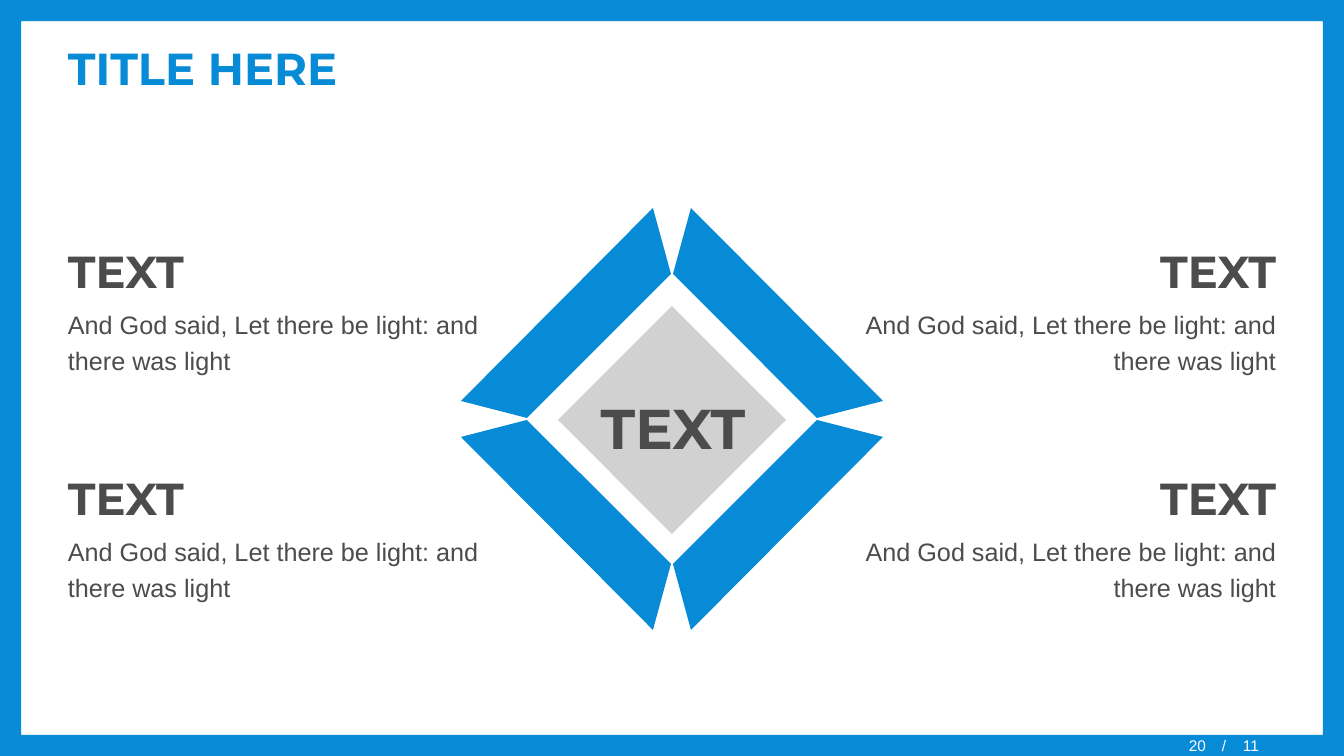
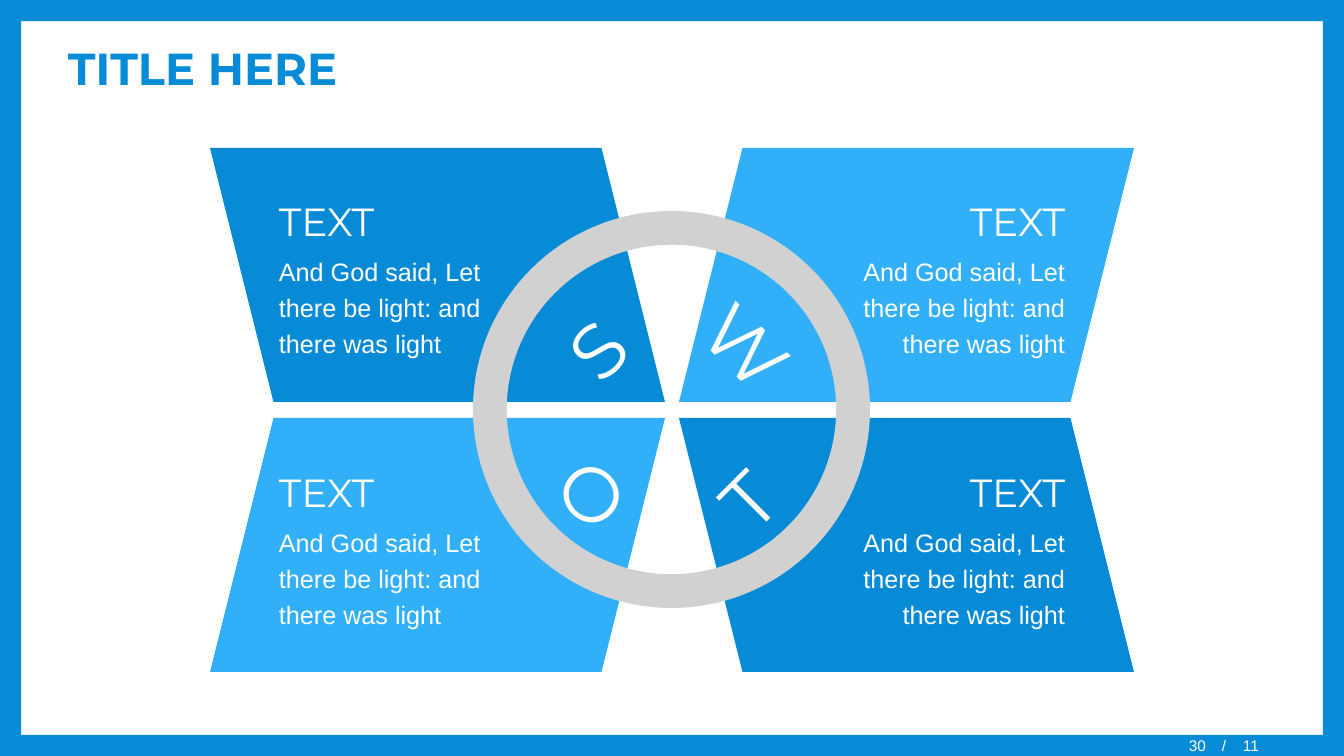
"""Build two framed slides: a four-part diamond and a SWOT wheel."""
import pptx
import pptx.dml.color
import pptx.enum.shapes
import pptx.enum.text
import pptx.util
import lxml.etree
import pptx.oxml.ns

RGB = pptx.dml.color.RGBColor
KIND = pptx.enum.shapes.MSO_SHAPE
ALIGN = pptx.enum.text.PP_ALIGN
ANCHOR = pptx.enum.text.MSO_ANCHOR
FIT = pptx.enum.text.MSO_AUTO_SIZE
BLUE = RGB(0x07, 0x8B, 0xD7)
SKY = RGB(0x31, 0xAF, 0xF8)
GREY = RGB(0xD1, 0xD1, 0xD1)
DARK = RGB(0x4C, 0x4C, 0x4C)
WHITE = RGB(0xFF, 0xFF, 0xFF)
HEAD = "Montserrat"
BODY = "Arial"
PX = 12192000 / 1344
VERSE = "And God said, Let there be light: and there was light"


def paint(shape, color):
    """Give a shape a flat fill with no line or shadow."""
    shape.shadow.inherit = False
    shape.fill.solid()
    shape.fill.fore_color.rgb = color
    shape.line.fill.background()


def write(slide, box, lines, color, align=ALIGN.LEFT, anchor=ANCHOR.TOP,
          wrap=True, lead=1.2):
    """Add a text box; each line is text, size, font and bold."""
    shape = slide.shapes.add_textbox(*[round(n * PX) for n in box])
    frame = shape.text_frame
    frame.word_wrap = wrap
    frame.vertical_anchor = anchor
    frame.auto_size = FIT.NONE if lead == 1 else FIT.SHAPE_TO_FIT_TEXT
    for row, (text, size, font, bold) in enumerate(lines):
        para = frame.add_paragraph() if row else frame.paragraphs[0]
        para.alignment = align
        para.line_spacing = lead
        if row:
            para.space_before = pptx.util.Pt(2)
        para.space_after = pptx.util.Pt(2 if lead > 1 else 0)
        run = para.add_run()
        run.text = text
        run.font.size = pptx.util.Pt(size)
        run.font.name = font
        run.font.bold = bold
        run.font.color.rgb = color
    return shape


deck = pptx.Presentation()
deck.slide_width = round(1344 * PX)
deck.slide_height = round(756 * PX)

for page in ("20", "30"):
    slide = deck.slides.add_slide(deck.slide_layouts[6])
    edge = slide.shapes.add_shape(KIND.FRAME, 0, 0, deck.slide_width, deck.slide_height)
    edge.adjustments[0] = 0.028
    paint(edge, BLUE)
    write(slide, (58, 28, 1228, 80), [("TITLE HERE", 32, HEAD, True)], BLUE,
          anchor=ANCHOR.MIDDLE, lead=1)
    foot = write(slide, (1179, 736, 160, 18), [(f"{page}\t/\t11", 11, BODY, False)],
                 WHITE, anchor=ANCHOR.MIDDLE, lead=1)
    props = foot.text_frame.paragraphs[0]._p.get_or_add_pPr()
    tabs = lxml.etree.SubElement(props, pptx.oxml.ns.qn("a:tabLst"))
    for stop in (33, 54):
        tab = lxml.etree.SubElement(tabs, pptx.oxml.ns.qn("a:tab"))
        tab.set("pos", str(round(stop * PX)))
        tab.set("algn", "l")

gem, wheel = deck.slides

core = gem.shapes.add_shape(KIND.DIAMOND, *[round(n * PX) for n in (558, 306, 228, 228)])
paint(core, GREY)
for across in (-1, 1):
    for down in (-1, 1):
        spots = [(672 + across * x, 419 + down * y)
                 for x, y in ((211, 18), (145, 1), (1, 145), (19, 211))]
        path = gem.shapes.build_freeform(*spots[0], scale=PX)
        path.add_line_segments(spots[1:], close=True)
        paint(path.convert_to_shape(), BLUE)
write(gem, (580, 374, 186, 92), [("TEXT", 40, HEAD, True)], DARK,
      ALIGN.CENTER, ANCHOR.MIDDLE, wrap=False)
for left, align in ((58, ALIGN.LEFT), (832, ALIGN.RIGHT)):
    for top in (228, 455):
        write(gem, (left, top, 454, 154),
              [("TEXT", 32, HEAD, True), (VERSE, 18, BODY, False)], DARK, align)

for col, left in enumerate((210, 679)):
    for row, top in enumerate((148, 418)):
        box = [round(n * PX) for n in (left, top, 455, 254)]
        wing = wheel.shapes.add_shape(KIND.PARALLELOGRAM, *box)
        paint(wing, BLUE if col == row else SKY)
        if col == row:
            wing._element.spPr.xfrm.set("flipH", "1")
ring = wheel.shapes.add_shape(KIND.DONUT, *[round(n * PX) for n in (473, 211, 397, 397)])
ring.adjustments[0] = 0.085
paint(ring, GREY)
for left, align in ((269, ALIGN.LEFT), (823, ALIGN.RIGHT)):
    for top in (183, 454):
        write(wheel, (left, top, 252, 182),
              [("TEXT", 28, HEAD, False), (VERSE, 18, BODY, False)], WHITE, align)
for sign, left, top, width, turn in (
        ("S", 556, 279, 76, 315), ("W", 703, 276, 97, 45),
        ("O", 559, 427, 84, 45), ("T", 708, 428, 76, 315)):
    mark = write(wheel, (left, top, width, 120), [(sign, 54, HEAD, False)],
                 WHITE, wrap=False)
    mark.rotation = turn

deck.save("out.pptx")
